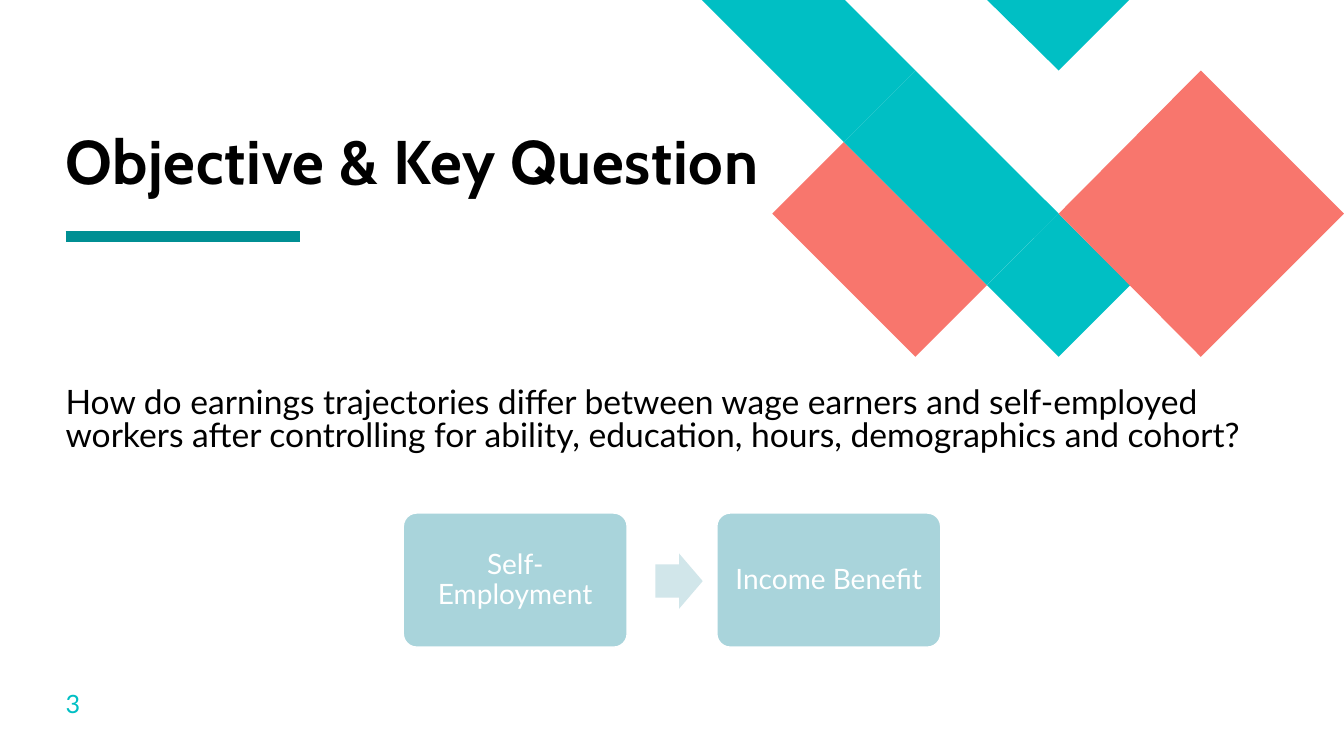
from lxml import etree
from pptx import Presentation
from pptx.dml.color import RGBColor
from pptx.enum.shapes import MSO_CONNECTOR, MSO_SHAPE
from pptx.enum.text import MSO_ANCHOR, PP_ALIGN
from pptx.oxml.ns import qn
from pptx.util import Pt

PX = 9144  # 100 px to the inch
STRAIGHT = MSO_CONNECTOR.STRAIGHT
ROUNDED = MSO_SHAPE.ROUNDED_RECTANGLE
RIGHT_ARROW = MSO_SHAPE.RIGHT_ARROW
TOP, MIDDLE, BOTTOM = MSO_ANCHOR.TOP, MSO_ANCHOR.MIDDLE, MSO_ANCHOR.BOTTOM
LEFT, CENTER = PP_ALIGN.LEFT, PP_ALIGN.CENTER
TEAL, CORAL, WHITE, BLACK = "00BFC4", "F8766D", "FFFFFF", "000000"


def color(hex_string):
    return RGBColor.from_string(hex_string)


def write(shape, text, font, size, hex_string, anchor=TOP, align=LEFT,
          spacing=1.0, insets=(0, 0, 0, 0)):
    """Put one styled paragraph in the shape; insets are left, top, right, bottom in px."""
    frame = shape.text_frame
    frame.word_wrap = True
    frame.vertical_anchor = anchor
    (frame.margin_left, frame.margin_top,
     frame.margin_right, frame.margin_bottom) = [inset * PX for inset in insets]
    frame.text = text
    paragraph = frame.paragraphs[0]
    paragraph.alignment = align
    paragraph.line_spacing = spacing
    run = paragraph.runs[0]
    run.font.name = font
    run.font.size = Pt(size)
    run.font.color.rgb = color(hex_string)
    return run


presentation = Presentation()
presentation.slide_width = 1333 * PX
presentation.slide_height = 750 * PX
slide = presentation.slides.add_slide(presentation.slide_layouts[6])
shapes = slide.shapes

# Corner pattern: each entry is a fill and its closed outlines
pattern = [
    (TEAL, [[(908, 70), (838, 0), (696, 0), (837, 141)],
            [(1121, 283), (1050, 212), (979, 283), (1050, 354)]]),
    (CORAL, [[(837, 141), (766, 212), (908, 354), (979, 283)]]),
    (TEAL, [[(1120, 0), (979, 0), (1050, 70)]]),
    (TEAL, [[(908, 70), (837, 141), (979, 283), (1050, 212)]]),
    (CORAL, [[(1333, 212), (1191, 70), (1050, 212), (1191, 354)]]),
]
for fill, outlines in pattern:
    builder = shapes.build_freeform(*outlines[0][0], scale=PX)
    for outline in outlines:
        if outline is not outlines[0]:
            builder.move_to(*outline[0])
        builder.add_line_segments(outline[1:], close=True)
    tile = builder.convert_to_shape()
    tile.shadow.inherit = False
    tile.fill.solid()
    tile.fill.fore_color.rgb = color(fill)
    tile.line.fill.background()

# Title and its rule
rule = shapes.add_connector(STRAIGHT, 65 * PX, 235 * PX, 298 * PX, 235 * PX)
rule.line.color.rgb = color("008F93")
rule.line.width = Pt(8)
etree.SubElement(rule._element.spPr, qn("a:effectLst"))

title = shapes.add_textbox(65 * PX, 21 * PX, 742 * PX, 174 * PX)
title_run = write(title, "Objective & Key Question", "Cabin", 44, BLACK, BOTTOM, spacing=0.8)
title_run.font.bold = True
title_run.font._element.set("spc", "50")

# Key question
question = shapes.add_textbox(65 * PX, 336 * PX, 1212 * PX, 247 * PX)
write(question, "How do earnings trajectories differ between wage earners and self-employed "
      "workers after controlling for ability, education, hours, demographics and cohort?",
      "Lato", 24, BLACK, spacing=0.8, insets=(0, 50, 0, 0))

# Cause and effect
for left, label in [(400, "Self-Employment"), (711, "Income Benefit")]:
    box = shapes.add_shape(ROUNDED, left * PX, 509 * PX, 222 * PX, 133 * PX)
    box.adjustments[0] = 0.1
    box.shadow.inherit = False
    box.fill.solid()
    box.fill.fore_color.rgb = color("A9D4DB")
    box.line.color.rgb = color(WHITE)
    box.line.width = Pt(1)
    write(box, label, "Lato", 20, WHITE, MIDDLE, CENTER, 0.9, (8, 8, 8, 8))

arrow = shapes.add_shape(RIGHT_ARROW, 650 * PX, 549 * PX, 47 * PX, 55 * PX)
arrow.adjustments[0] = 0.6
arrow.adjustments[1] = 0.5
arrow.shadow.inherit = False
arrow.fill.solid()
arrow.fill.fore_color.rgb = color("D1E6EA")
arrow.line.fill.background()

page_number = shapes.add_textbox(65 * PX, 683 * PX, 59 * PX, 54 * PX)
write(page_number, "3", "Lato", 18, TEAL)

presentation.save("out.pptx")
